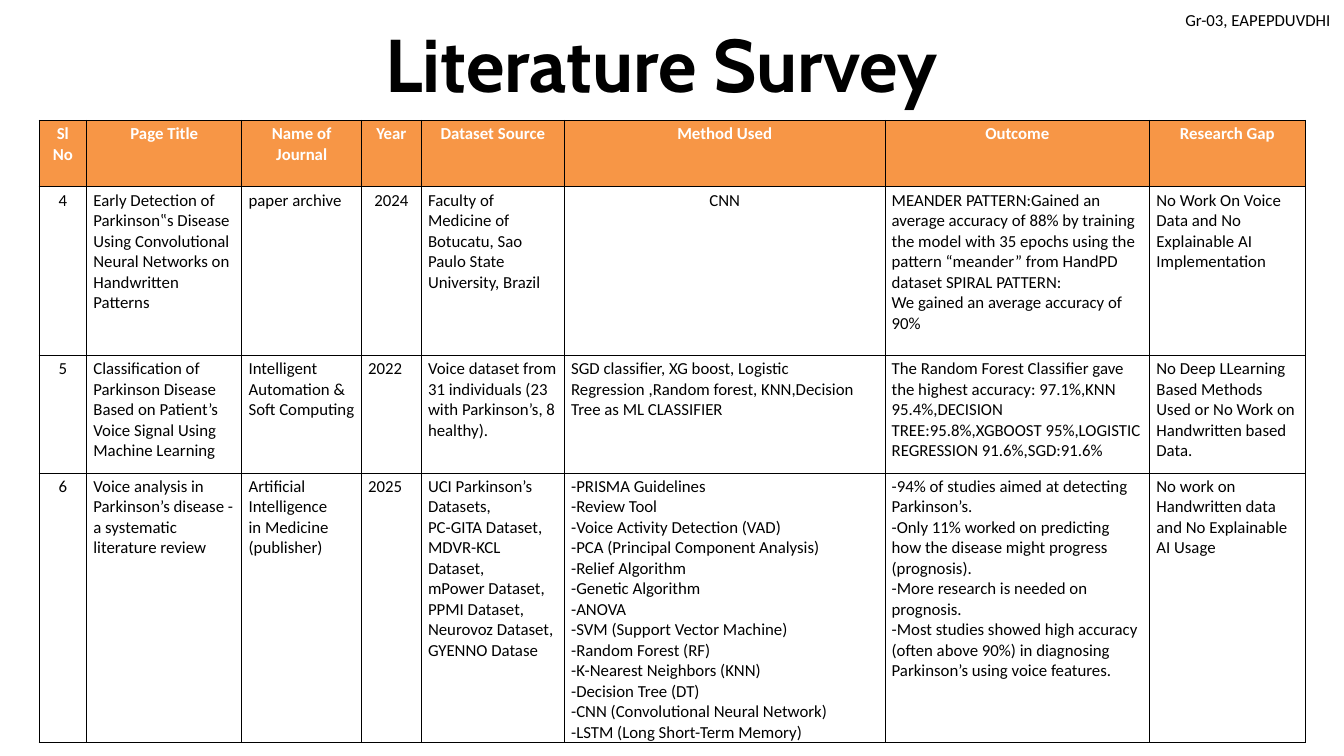
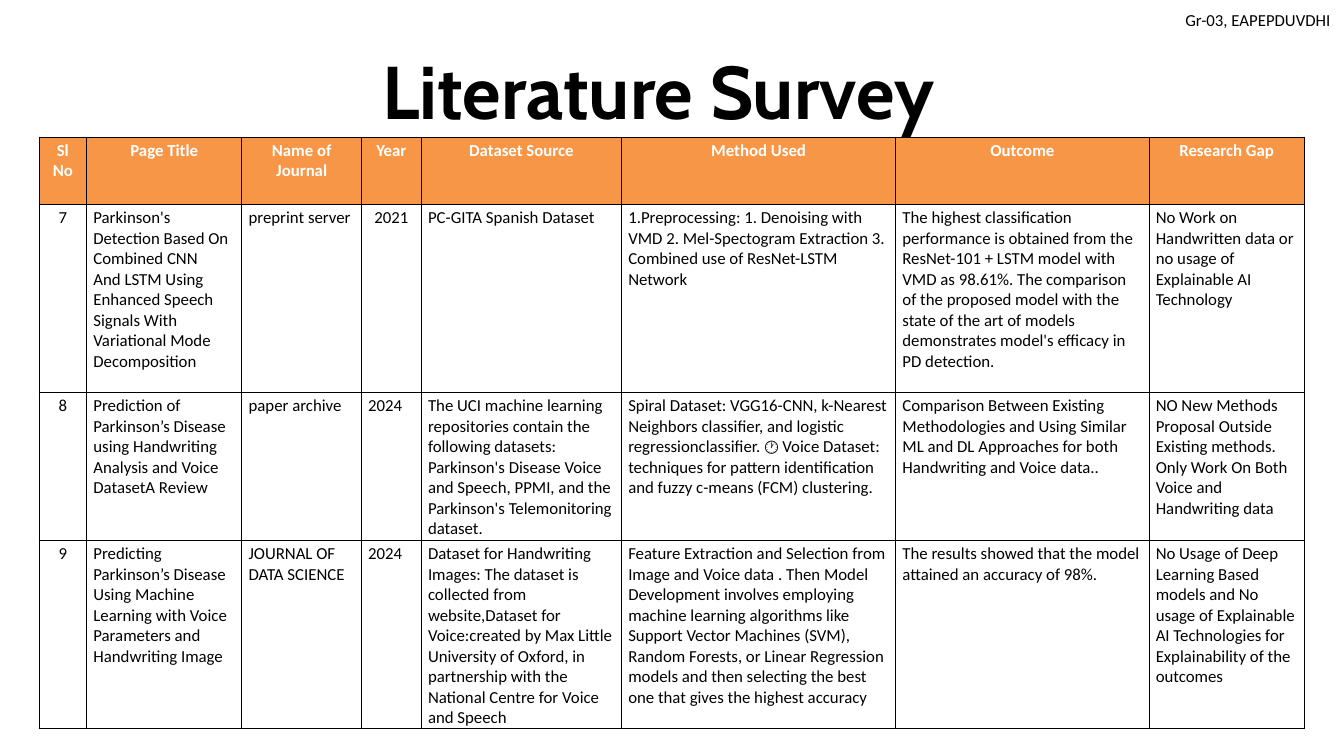
"""Build two literature survey slides, each with a title and a table of papers."""
from lxml.etree import SubElement
from pptx import Presentation
from pptx.dml.color import RGBColor
from pptx.enum.text import PP_ALIGN
from pptx.oxml.ns import qn
from pptx.util import Inches, Pt

COLORS = {"header": "F79646", "body": "FFFFFF", "ink": "000000", "header_text": "FFFFFF"}
HEADINGS = ["Sl No", "Page Title", "Name of Journal", "Year",
            "Dataset Source", "Method Used", "Outcome", "Research Gap"]
NUMBER, YEAR, METHOD = 0, 3, 5
LEFT_WIDTHS = [0.71, 2.31, 1.78, 0.89]
GAP_WIDTH = 2.31

SURVEYS = [
    {
        "title_at": (4.25, -0.19, 11.19, 1.65),
        "table_top": 1.79,
        "middle_widths": [2.13, 4.77, 3.94],
        "heights": [0.99, 2.51, 1.75, 4.01],
        "centred_methods": {"CNN"},
        "papers": [
            ["4",
             "Early Detection of Parkinson‟s Disease Using Convolutional\n"
             "Neural Networks on Handwritten Patterns",
             "paper archive", "2024",
             "Faculty of Medicine of Botucatu, Sao\nPaulo State University, Brazil",
             "CNN",
             "MEANDER PATTERN:Gained an average accuracy of 88% by training the model with "
             "35 epochs using the pattern “meander” from HandPD dataset SPIRAL PATTERN:\n"
             "We gained an average accuracy of 90%",
             "No Work On Voice Data and No Explainable AI Implementation"],
            ["5",
             "Classification of Parkinson Disease Based on Patient’s Voice Signal Using "
             "Machine Learning",
             "Intelligent Automation & Soft Computing", "2022",
             "Voice dataset from 31 individuals (23 with Parkinson’s, 8 healthy).",
             "SGD classifier, XG boost, Logistic Regression ,Random forest, KNN,Decision "
             "Tree as ML CLASSIFIER",
             "The Random Forest Classifier gave the highest accuracy: 97.1%,KNN "
             "95.4%,DECISION TREE:95.8%,XGBOOST 95%,LOGISTIC REGRESSION 91.6%,SGD:91.6%",
             "No Deep LLearning Based Methods Used or No Work on Handwritten based Data."],
            ["6",
             "Voice analysis in Parkinson’s disease - a systematic literature review",
             "Artificial Intelligence\nin Medicine (publisher)", "2025",
             "UCI Parkinson’s Datasets,\nPC-GITA Dataset,\nMDVR-KCL Dataset,\n"
             "mPower Dataset,\nPPMI Dataset,\nNeurovoz Dataset,\nGYENNO Datase",
             "-PRISMA Guidelines\n-Review Tool\n-Voice Activity Detection (VAD)\n"
             "-PCA (Principal Component Analysis)\n-Relief Algorithm\n-Genetic Algorithm\n"
             "-ANOVA\n-SVM (Support Vector Machine)\n-Random Forest (RF)\n"
             "-K-Nearest Neighbors (KNN)\n-Decision Tree (DT)\n"
             "-CNN (Convolutional Neural Network)\n-LSTM (Long Short-Term Memory)",
             "-94% of studies aimed at detecting Parkinson’s.\n"
             "-Only 11% worked on predicting how the disease might progress (prognosis).\n"
             "-More research is needed on prognosis.\n"
             "-Most studies showed high accuracy (often above 90%) in diagnosing "
             "Parkinson’s using voice features.",
             "No work on Handwritten data and No Explainable AI Usage"],
        ],
    },
    {
        "title_at": (4.17, 0.21, 11.25, 1.69),
        "table_top": 2.04,
        "middle_widths": [2.98, 4.08, 3.77],
        "heights": [1.0, 2.8, 2.2, 2.8],
        "centred_methods": set(),
        "papers": [
            ["7",
             "Parkinson's Detection Based On Combined CNN\n"
             "And LSTM Using Enhanced Speech Signals With\nVariational Mode Decomposition",
             "preprint server", "2021",
             "PC-GITA Spanish Dataset",
             "1.Preprocessing: 1. Denoising with VMD 2. Mel-Spectogram Extraction "
             "3. Combined use of ResNet-LSTM Network",
             "The highest classification performance is obtained from the ResNet-101 + LSTM "
             "model with VMD as 98.61%. The comparison of the proposed model with the\n"
             "state of the art of models demonstrates model's efficacy in PD detection.",
             "No Work on Handwritten data or no usage of Explainable AI Technology"],
            ["8",
             "Prediction of Parkinson’s Disease using Handwriting Analysis and Voice "
             "DatasetA Review",
             "paper archive", "2024",
             "The UCI machine learning repositories contain the following datasets: "
             "Parkinson's Disease Voice and Speech, PPMI, and the Parkinson's "
             "Telemonitoring dataset.",
             "Spiral Dataset: VGG16-CNN, k-Nearest Neighbors classifier, and logistic "
             "regressionclassifier. 🕐 Voice Dataset: techniques for pattern identification "
             "and fuzzy c-means (FCM) clustering.",
             "Comparison Between Existing Methodologies and Using Similar ML and DL "
             "Approaches for both Handwriting and Voice data..",
             "NO New Methods Proposal Outside Existing methods. Only Work On Both Voice "
             "and Handwriting data"],
            ["9",
             "Predicting Parkinson’s Disease Using Machine Learning with Voice Parameters "
             "and Handwriting Image",
             "JOURNAL OF DATA SCIENCE", "2024",
             "Dataset for Handwriting Images: The dataset is collected from "
             "website,Dataset for Voice:created by Max Little University of Oxford, in "
             "partnership with the National Centre for Voice and Speech",
             "Feature Extraction and Selection from Image and Voice data . Then Model "
             "Development involves employing machine learning algorithms like Support "
             "Vector Machines (SVM), Random Forests, or Linear Regression models and then "
             "selecting the best one that gives the highest accuracy",
             "The results showed that the model attained an accuracy of 98%.",
             "No Usage of Deep Learning Based models and No usage of Explainable AI "
             "Technologies for Explainability of the outcomes"],
        ],
    },
]


def write(frame, text, size, font, color, bold=False, centred=False):
    frame.text = text
    frame.word_wrap = True
    for paragraph in frame.paragraphs:
        paragraph.alignment = PP_ALIGN.CENTER if centred else PP_ALIGN.LEFT
        paragraph.font.size = Pt(size)
        paragraph.font.name = font
        paragraph.font.bold = bold
        paragraph.font.color.rgb = RGBColor.from_string(COLORS[color])


def paint_cell(cell, fill):
    properties = cell._tc.get_or_add_tcPr()
    for side in ("a:lnL", "a:lnR", "a:lnT", "a:lnB"):
        line = SubElement(properties, qn(side), w=str(Pt(1)))
        solid = SubElement(line, qn("a:solidFill"))
        SubElement(solid, qn("a:srgbClr"), val=COLORS["ink"])
    cell.fill.solid()
    cell.fill.fore_color.rgb = RGBColor.from_string(COLORS[fill])
    cell.margin_top = Inches(0.05)
    cell.margin_bottom = 0


deck = Presentation()
deck.slide_width = Inches(20)
deck.slide_height = Inches(11.25)

for survey in SURVEYS:
    page = deck.slides.add_slide(deck.slide_layouts[6])

    group_box = page.shapes.add_textbox(Inches(17.54), Inches(0.1), Inches(2.42), Inches(0.4))
    write(group_box.text_frame, "Gr-03, EAPEPDUVDHI", 18, "Calibri", "ink")

    title_box = page.shapes.add_textbox(*[Inches(length) for length in survey["title_at"]])
    title_frame = title_box.text_frame
    title_frame.margin_left = title_frame.margin_right = 0
    title_frame.margin_top = title_frame.margin_bottom = 0
    write(title_frame, "Literature Survey", 80, "Cabin", "ink", bold=True, centred=True)
    title_frame.paragraphs[0].line_spacing = Pt(128.8)

    widths = LEFT_WIDTHS + survey["middle_widths"] + [GAP_WIDTH]
    rows = [HEADINGS] + survey["papers"]
    table = page.shapes.add_table(
        len(rows), len(HEADINGS), Inches(0.58), Inches(survey["table_top"]),
        Inches(sum(widths)), Inches(sum(survey["heights"]))).table
    for column, width in zip(table.columns, widths):
        column.width = Inches(width)
    for row, height in zip(table.rows, survey["heights"]):
        row.height = Inches(height)

    for row_index, texts in enumerate(rows):
        heading = row_index == 0
        for column_index, text in enumerate(texts):
            cell = table.cell(row_index, column_index)
            paint_cell(cell, "header" if heading else "body")
            centred = (heading or column_index == NUMBER
                       or (column_index == YEAR and row_index == 1)
                       or (column_index == METHOD and text in survey["centred_methods"]))
            write(cell.text_frame, text, 18, "Calibri",
                  "header_text" if heading else "ink", heading, centred)

deck.save("out.pptx")
